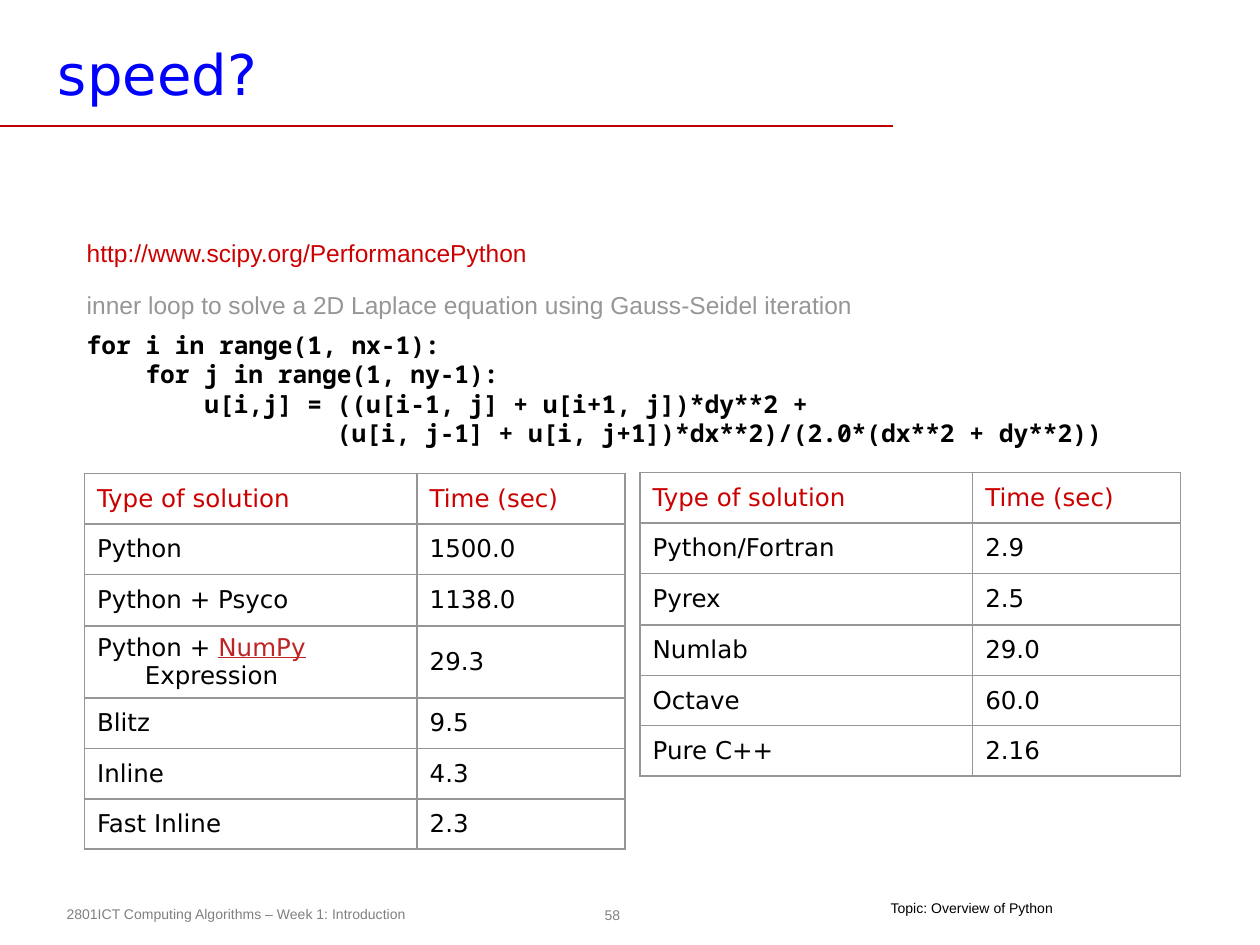
import pptx
import pptx.util
import pptx.dml.color
import pptx.enum.shapes
import pptx.enum.text
import pptx.oxml
import pptx.oxml.ns
from lxml import etree

Inches = pptx.util.Inches
Pt = pptx.util.Pt
RGBColor = pptx.dml.color.RGBColor
MIDDLE = pptx.enum.text.MSO_ANCHOR.MIDDLE
TOP = pptx.enum.text.MSO_ANCHOR.TOP

BLUE = RGBColor(0x00, 0x00, 0xFF)
RED = RGBColor(0xCC, 0x00, 0x00)
RULE_RED = RGBColor(0xC0, 0x00, 0x00)
LINK_RED = RGBColor(0xBF, 0x24, 0x25)
FOOTER_GRAY = RGBColor(0x80, 0x80, 0x80)
GRAY = RGBColor(0x96, 0x96, 0x96)
BLACK = RGBColor(0x00, 0x00, 0x00)


def set_font(paragraph, name, size, color, bold=False):
    font = paragraph.font
    font.name = name
    font.size = Pt(size)
    font.color.rgb = color
    font.bold = bold


def add_text(box, lines, name, size, color, wrap=True, bold=False):
    left, top, width, height = (Inches(n) for n in box)
    frame = slide.shapes.add_textbox(left, top, width, height).text_frame
    frame.word_wrap = wrap
    frame.text = "\n".join(lines)
    for paragraph in frame.paragraphs:
        set_font(paragraph, name, size, color, bold)
    return frame


deck = pptx.Presentation()
deck.slide_width = Inches(10)
deck.slide_height = Inches(7.5)
slide = deck.slides.add_slide(deck.slide_layouts[5])

# Title and the rule below it
title = slide.shapes.title
title.left, title.top = Inches(0.39), Inches(0.28)
title.width, title.height = Inches(5.98), Inches(0.6)
heading = title.text_frame
heading.text = "speed?"
heading.margin_left = heading.margin_right = Inches(0.07)
heading.margin_top = heading.margin_bottom = Inches(0.03)
heading.vertical_anchor = TOP
heading.auto_size = pptx.enum.text.MSO_AUTO_SIZE.NONE
heading.paragraphs[0].alignment = pptx.enum.text.PP_ALIGN.LEFT
set_font(heading.paragraphs[0], "DejaVu Sans", 32, BLUE)

rule = slide.shapes.add_connector(
    pptx.enum.shapes.MSO_CONNECTOR.STRAIGHT,
    Inches(0), Inches(1), Inches(7.09), Inches(1))
rule.line.color.rgb = RULE_RED
rule.line.width = Pt(1)
etree.SubElement(rule.element.spPr, pptx.oxml.ns.qn("a:effectLst"))

# Link, description and code
add_text((0.59, 1.84, 4.3, 0.33), ["http://www.scipy.org/PerformancePython"],
         "Arial", 14, RED, wrap=False)
add_text((0.59, 2.25, 8.74, 0.33),
         ["inner loop to solve a 2D Laplace equation using Gauss-Seidel iteration"],
         "Arial", 14, GRAY)
code = add_text((0.59, 2.57, 8.43, 1.03), [
    "for i in range(1, nx-1):",
    "    for j in range(1, ny-1):",
    "        u[i,j] = ((u[i-1, j] + u[i+1, j])*dy**2 +",
    "                 (u[i, j-1] + u[i, j+1])*dx**2)/(2.0*(dx**2 + dy**2))",
], "Noto Sans Mono", 14, BLACK, bold=True)
code.vertical_anchor = MIDDLE

# Timing tables: left, top, row heights, rows
header = ("Type of solution", "Time (sec)")
timings = [
    (0.67, 3.76, [0.4, 0.4, 0.41, 0.57, 0.4, 0.4, 0.4], [
        header, ("Python", "1500.0"), ("Python + Psyco", "1138.0"),
        ("Python + NumPy Expression", "29.3"), ("Blitz", "9.5"),
        ("Inline", "4.3"), ("Fast Inline", "2.3")]),
    (5.08, 3.75, [0.4, 0.4, 0.41, 0.4, 0.4, 0.4], [
        header, ("Python/Fortran", "2.9"), ("Pyrex", "2.5"),
        ("Numlab", "29.0"), ("Octave", "60.0"), ("Pure C++", "2.16")]),
]
for left, top, heights, rows in timings:
    table = slide.shapes.add_table(
        len(rows), 2, Inches(left), Inches(top),
        Inches(4.29), Inches(sum(heights))).table
    table.first_row = table.horz_banding = False
    table.columns[0].width = Inches(2.64)
    table.columns[1].width = Inches(1.65)
    for r, (height, row) in enumerate(zip(heights, rows)):
        table.rows[r].height = Inches(height)
        for c, text in enumerate(row):
            cell = table.cell(r, c)
            cell.vertical_anchor = MIDDLE
            cell.fill.background()
            paragraph = cell.text_frame.paragraphs[0]
            before, link, after = text.partition("NumPy")
            for part in filter(None, (before, link, after)):
                run = paragraph.add_run()
                run.text = part
                if part == link:
                    run.font.color.rgb = LINK_RED
                    run.font.underline = True
            # Hanging indent
            properties = paragraph._p.get_or_add_pPr()
            properties.set("marL", str(Inches(0.38)))
            properties.set("indent", str(Inches(-0.38)))
            set_font(paragraph, "DejaVu Sans", 14, RED if r == 0 else BLACK)
            # Cell borders
            cell_properties = cell._tc.get_or_add_tcPr()
            for i, side in enumerate(("lnL", "lnR", "lnT", "lnB")):
                cell_properties.insert(i, pptx.oxml.parse_xml(
                    f'<a:{side} {pptx.oxml.ns.nsdecls("a")} w="{Pt(1)}">'
                    f'<a:solidFill><a:srgbClr val="{GRAY}"/></a:solidFill>'
                    f'</a:{side}>'))

# Footer: course, page number, topic
add_text((0.43, 7.14, 4.17, 0.24),
         ["2801ICT Computing Algorithms – Week 1: Introduction"],
         "Arial", 8, FOOTER_GRAY)

page = slide.shapes.add_shape(
    pptx.enum.shapes.MSO_SHAPE.OVAL,
    Inches(4.74), Inches(7.13), Inches(0.24), Inches(0.26))
page.shadow.inherit = False
page.fill.background()
page.line.fill.background()
number = page.text_frame
number.text = "58"
number.word_wrap = False
number.vertical_anchor = MIDDLE
number.margin_left = number.margin_right = Inches(0.04)
number.margin_top = number.margin_bottom = Inches(0.04)
number.paragraphs[0].alignment = pptx.enum.text.PP_ALIGN.CENTER
set_font(number.paragraphs[0], "Arial", 8, FOOTER_GRAY)

topic = add_text((6.97, 7.14, 1.5, 0.17), ["Topic: Overview of Python"],
                 "Arial", 8, BLACK, wrap=False)
topic.margin_top = Inches(0)
topic.margin_bottom = Inches(0.04)

deck.save("out.pptx")
